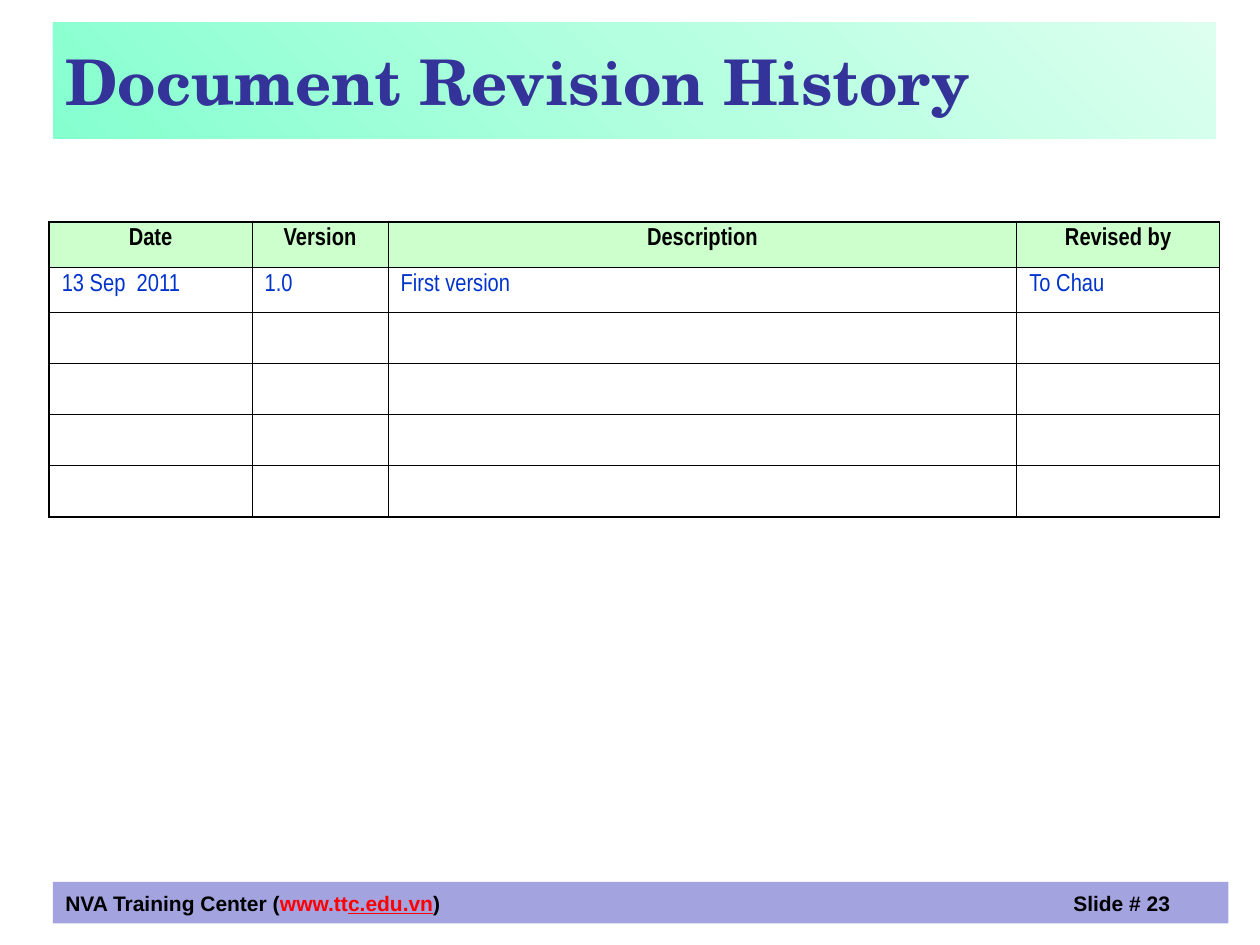
from lxml import etree
from pptx import Presentation
from pptx.dml.color import RGBColor
from pptx.enum import shapes, text
from pptx.oxml.ns import qn
from pptx.util import Inches, Pt

COLORS = {
    "title": "333399", "title_start": "86FFCF", "title_end": "DCFFEF",
    "footer": "A3A3E0", "link": "FF0000", "header": "CCFFCC",
    "entry": "0033CC", "ink": "000000",
}
TITLE = "Document Revision History"
HEADERS = ["Date", "Version", "Description", "Revised by"]
REVISIONS = [["13 Sep  2011", "1.0", "First version", "To Chau"]]
BLANK_ROWS = 4
FOOTER = [  # wording, colour, underlined
    ("NVA Training Center (", "ink", False),
    ("www.tt", "link", False),
    ("c.edu.vn", "link", True),
    (")\tSlide # 23", "ink", False),
]
COLUMN_WIDTHS = [1.61, 1.08, 4.99, 1.61]
FILLED_HEIGHT, BLANK_HEIGHT = 0.36, 0.38
OUTER_LINE, INNER_LINE = 1.08, 0.45


def color(name):
    return RGBColor.from_string(COLORS[name])


def add_span(para, wording, font, size, ink, bold=True, underline=False):
    span = para.add_run()
    span.text = wording
    span.font.name, span.font.size = font, Pt(size)
    span.font.bold, span.font.underline = bold, underline
    span.font.color.rgb = color(ink)


def add_bar(page, left, top, width, height):
    """Add a plain bar and return it with its left-aligned paragraph."""
    bar = page.shapes.add_shape(shapes.MSO_SHAPE.RECTANGLE, Inches(left),
                                Inches(top), Inches(width), Inches(height))
    bar.shadow.inherit = False
    bar.line.fill.background()
    bar.text_frame.word_wrap = True
    bar.text_frame.vertical_anchor = text.MSO_ANCHOR.MIDDLE
    para = bar.text_frame.paragraphs[0]
    para.alignment = text.PP_ALIGN.LEFT
    return bar, para


def set_borders(cell, widths):
    """Draw left, right, top and bottom borders, ahead of the cell fill."""
    props = cell._tc.get_or_add_tcPr()
    for index, (side, width) in enumerate(zip("LRTB", widths)):
        line = etree.Element(qn(f"a:ln{side}"), w=str(int(Pt(width))))
        fill = etree.SubElement(line, qn("a:solidFill"))
        etree.SubElement(fill, qn("a:srgbClr"), val=COLORS["ink"])
        props.insert(index, line)


def add_title(page):
    bar, para = add_bar(page, 0.42, 0.18, 9.23, 0.92)
    bar.fill.gradient()
    bar.fill.gradient_angle = 45
    for stop, name in zip(bar.fill.gradient_stops, ("title_start", "title_end")):
        stop.color.rgb = color(name)
    add_span(para, TITLE, "TeX Gyre Schola", 36, "title")


def add_history(page):
    rows = [HEADERS] + REVISIONS + [[""] * len(HEADERS)] * BLANK_ROWS
    heights = [FILLED_HEIGHT if any(row) else BLANK_HEIGHT for row in rows]
    table = page.shapes.add_table(
        len(rows), len(HEADERS), Inches(0.39), Inches(1.76),
        Inches(sum(COLUMN_WIDTHS)), Inches(sum(heights))).table
    for column, width in zip(table.columns, COLUMN_WIDTHS):
        column.width = Inches(width)
    for r, row in enumerate(rows):
        table.rows[r].height = Inches(heights[r])
        for c, wording in enumerate(row):
            cell = table.cell(r, c)
            is_header = r == 0
            if is_header:
                cell.fill.solid()
                cell.fill.fore_color.rgb = color("header")
            else:
                cell.fill.background()
            edges = (c == 0, c == len(row) - 1, is_header, r == len(rows) - 1)
            set_borders(cell, [OUTER_LINE if edge else INNER_LINE for edge in edges])
            if wording:
                para = cell.text_frame.paragraphs[0]
                para.alignment = (text.PP_ALIGN.CENTER if is_header
                                  else text.PP_ALIGN.LEFT)
                add_span(para, wording, "Arial Narrow", 14,
                         "ink" if is_header else "entry", bold=is_header)


def add_footer(page):
    bar, para = add_bar(page, 0.42, 7, 9.33, 0.33)
    bar.fill.solid()
    bar.fill.fore_color.rgb = color("footer")
    # One tab stop places the slide number
    tabs = etree.SubElement(para._p.get_or_add_pPr(), qn("a:tabLst"))
    etree.SubElement(tabs, qn("a:tab"), pos=str(Inches(8)), algn="l")
    for wording, ink, underline in FOOTER:
        add_span(para, wording, "Arial", 12, ink, underline=underline)


def main():
    deck = Presentation()
    deck.slide_width, deck.slide_height = Inches(10), Inches(7.5)
    page = deck.slides.add_slide(deck.slide_layouts[6])
    add_footer(page)
    add_title(page)
    add_history(page)
    deck.save("out.pptx")


if __name__ == "__main__":
    main()
